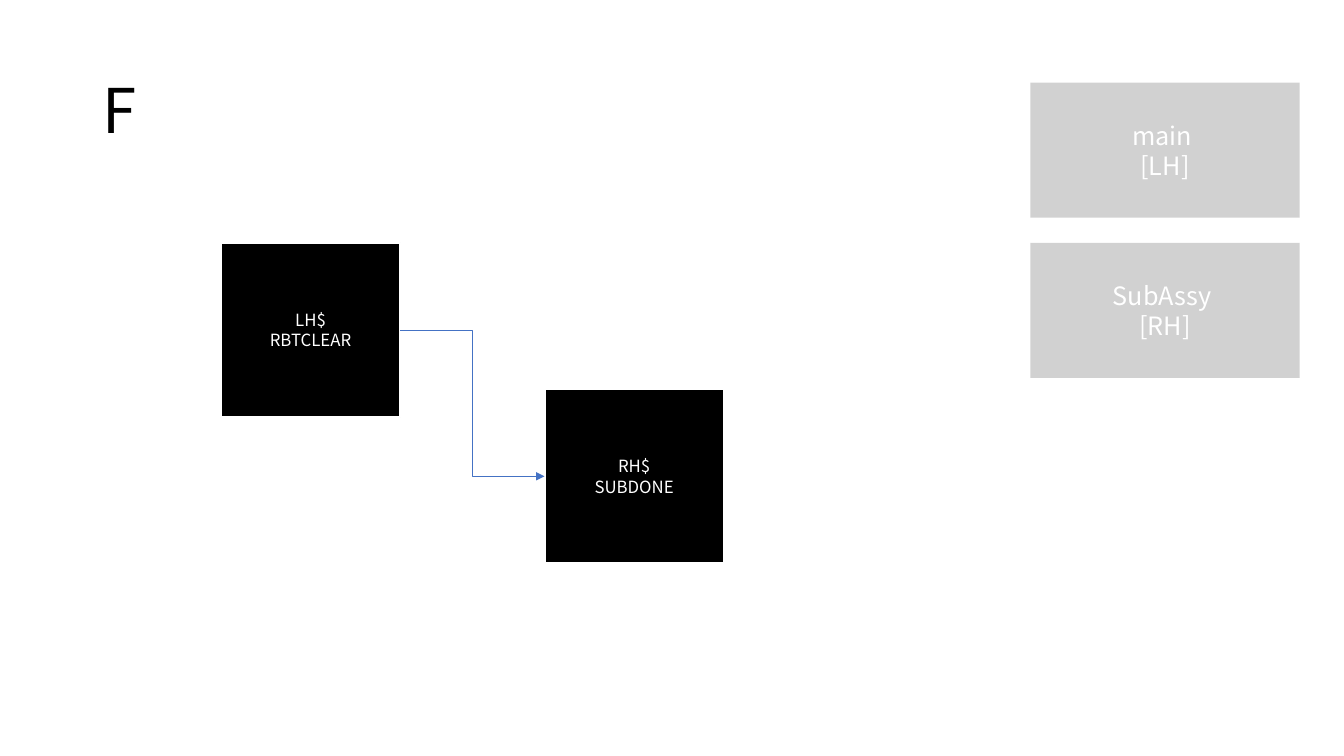
import pptx
import pptx.dml.color
import pptx.enum.shapes
import pptx.enum.text
import pptx.oxml.ns
import pptx.util
from lxml import etree
from pptx.util import Inches

FONT = "Noto Sans CJK KR"
SHAPES = pptx.enum.shapes.MSO_SHAPE
ALIGN = pptx.enum.text.PP_ALIGN
MIDDLE = pptx.enum.text.MSO_ANCHOR.MIDDLE
RIGHT_SITE, LEFT_SITE = 3, 1


def paint(color_format, color):
    color_format.rgb = pptx.dml.color.RGBColor.from_string(color)


def add_child(parent, tag, **attributes):
    return etree.SubElement(parent, pptx.oxml.ns.qn(tag), attributes)


def find_part(shape, tag):
    return shape._element.spPr.find(".//" + pptx.oxml.ns.qn(tag))


def write(shape, text, size, color, align):
    frame = shape.text_frame
    frame.text = text
    frame.word_wrap = True
    frame.vertical_anchor = MIDDLE
    for para in frame.paragraphs:
        para.alignment = align
        for span in para.runs:
            span.font.name = FONT
            span.font.size = pptx.util.Pt(size)
            paint(span.font.color, color)


def add_title(page, text):
    title = page.shapes.title
    title.left, title.top = Inches(0.92), Inches(0.4)
    title.width, title.height = Inches(11.5), Inches(1.45)
    write(title, text, 44, "000000", ALIGN.LEFT)
    title.text_frame.paragraphs[0].line_spacing = 0.9


def add_box(page, kind, left, top, width, height, fill, text, size):
    box = page.shapes.add_shape(kind, Inches(left), Inches(top), Inches(width), Inches(height))
    box.shadow.inherit = False
    box.fill.solid()
    paint(box.fill.fore_color, fill)
    write(box, text, size, "FFFFFF", ALIGN.CENTER)
    return box


def add_note(page, top, text):
    """Add a half-transparent grey note, its corner unfolded, in the right-hand column."""
    note = add_box(page, SHAPES.FOLDED_CORNER, 10.22, top, 2.67, 1.34, "A5A5A5", text, 18)
    note.line.fill.background()
    add_child(find_part(note, "a:avLst"), "a:gd", name="adj", fmla="val 0")
    add_child(find_part(note, "a:srgbClr"), "a:alpha", val="50000")


def add_step(page, left, top, text):
    step = add_box(page, SHAPES.RECTANGLE, left, top, 1.78, 1.73, "000000", text, 12)
    paint(step.line.color, "FFFFFF")
    step.line.width = pptx.util.Pt(1.5)
    return step


def add_elbow_arrow(page, start, end):
    arrow = page.shapes.add_connector(pptx.enum.shapes.MSO_CONNECTOR.ELBOW, 0, 0, 0, 0)
    arrow.begin_connect(start, RIGHT_SITE)
    arrow.end_connect(end, LEFT_SITE)
    paint(arrow.line.color, "4472C4")
    arrow.line.width = pptx.util.Pt(0.5)
    add_child(find_part(arrow, "a:ln"), "a:tailEnd", type="triangle")
    add_child(arrow._element.spPr, "a:effectLst")


def main():
    deck = pptx.Presentation()
    deck.slide_width, deck.slide_height = Inches(13.33), Inches(7.5)
    page = deck.slides.add_slide(deck.slide_layouts.get_by_name("Title Only"))
    add_title(page, "F")
    add_note(page, 0.82, "main \n[LH]")
    robot_clear = add_step(page, 2.19, 2.41, "LH$\nRBTCLEAR")
    add_note(page, 2.41, "SubAssy \n[RH]")
    sub_done = add_step(page, 5.4, 3.86, "RH$\nSUBDONE")
    add_elbow_arrow(page, robot_clear, sub_done)
    deck.save("out.pptx")


if __name__ == "__main__":
    main()
